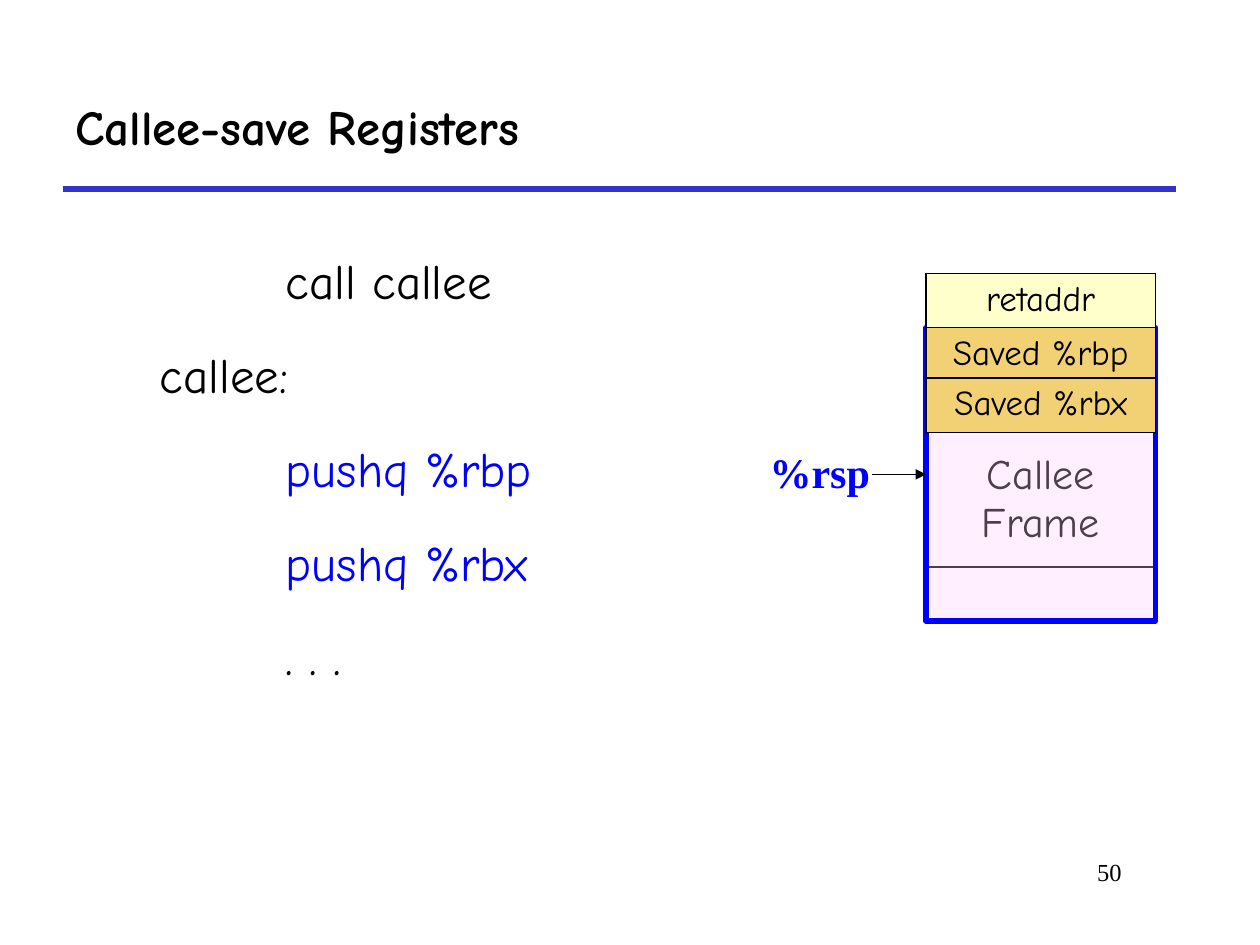
from dataclasses import dataclass

from lxml import etree
from pptx import Presentation
from pptx.dml import color
from pptx.enum import shapes, text
from pptx.oxml import ns
from pptx.util import Inches, Pt


@dataclass(frozen=True)
class Theme:
    """Colours, fonts and type sizes of the slide."""
    ink: str = "000000"
    blue: str = "0000FF"
    rule: str = "3333CC"
    cream: str = "FFFFCC"
    gold: str = "F2D174"
    pink: str = "FFCCFF"
    hand: str = "Comic Neue"
    serif: str = "Times New Roman"
    head: int = 28
    mid: int = 24
    cell: int = 20
    note: int = 14


T = Theme()


def rgb(code):
    """Turn a hex code into a colour."""
    return color.RGBColor.from_string(code)


def sub(node, tag, **attrs):
    """Add a drawing element to a node and return it."""
    return etree.SubElement(node, ns.qn(tag), attrs)


def write(para, words, size=T.head, font=T.hand, ink=T.ink, bold=False,
          align=text.PP_ALIGN.LEFT):
    """Put formatted words in a paragraph."""
    para.text = words
    para.alignment = align
    for run in para.runs:
        run.font.size = Pt(size)
        run.font.name = font
        run.font.bold = bold
        run.font.color.rgb = rgb(ink)


def add_box(slide, box, anchor=text.MSO_ANCHOR.TOP):
    """Add a text box and return its frame."""
    frame = slide.shapes.add_textbox(*map(Inches, box)).text_frame
    frame.word_wrap = True
    frame.vertical_anchor = anchor
    return frame


def add_line(slide, start, end, ink, width):
    """Add a straight line without a shadow."""
    line = slide.shapes.add_connector(
        shapes.MSO_CONNECTOR.STRAIGHT, *map(Inches, (*start, *end)))
    line.line.color.rgb = rgb(ink)
    line.line.width = Pt(width)
    sub(line._element.spPr, "a:effectLst")
    return line


def add_cell(slide, box, words, size=T.cell, fill=None):
    """Add a bordered table of one cell and return the cell."""
    table = slide.shapes.add_table(1, 1, *map(Inches, box)).table
    table.first_row = table.horz_banding = False
    cell = table.cell(0, 0)
    if fill:
        cell.fill.solid()
        cell.fill.fore_color.rgb = rgb(fill)
    else:
        cell.fill.background()
    props = cell._tc.get_or_add_tcPr()
    for spot, side in enumerate("LRTB"):
        edge = sub(props, f"a:ln{side}", w=str(Pt(1.08)))
        sub(sub(edge, "a:solidFill"), "a:srgbClr", val=T.ink)
        props.insert(spot, edge)
    write(cell.text_frame.paragraphs[0], words, size=size,
          align=text.PP_ALIGN.CENTER)
    return cell


def add_title(slide, box, words):
    """Place the title and the rule below it."""
    left, top, width, height = box
    base = top + height
    add_line(slide, (left, base), (left + width, base), T.rule, 3)
    frame = add_box(slide, box, text.MSO_ANCHOR.MIDDLE)
    write(frame.paragraphs[0], words, bold=True)


def add_code(slide, box, lines):
    """Place the assembly lines with a tab stop at one inch."""
    frame = add_box(slide, box)
    for i, (words, ink) in enumerate(lines):
        para = frame.add_paragraph() if i else frame.paragraphs[0]
        tabs = sub(para._p.get_or_add_pPr(), "a:tabLst")
        sub(tabs, "a:tab", pos=str(Inches(1)), algn="l")
        write(para, words, ink=ink)
        para.line_spacing = 1.4
        if i:
            para.space_before = Pt(6.7)


def add_frame(slide, box):
    """Place the callee frame under its tinted outline."""
    left, top, width, height = box
    cell = add_cell(slide, (left, top, width, 1.9), "Callee\vFrame", T.mid)
    cell.vertical_anchor = text.MSO_ANCHOR.BOTTOM
    cell.margin_bottom = Inches(0.15)
    tint = slide.shapes.add_shape(
        shapes.MSO_SHAPE.RECTANGLE, *map(Inches, box))
    tint.shadow.inherit = False
    tint.fill.solid()
    tint.fill.fore_color.rgb = rgb(T.pink)
    shade = tint._element.spPr.find(".//" + ns.qn("a:srgbClr"))
    sub(shade, "a:alpha", val="30000")
    tint.line.color.rgb = rgb(T.blue)
    tint.line.width = Pt(3)
    return tint


def add_stack(slide, box):
    """Place the stack with its saved rows and the stack pointer."""
    left, top, width, height = box
    row = 0.43
    deep = height - row
    tint = add_frame(slide, (left, top + row, width, deep))
    rows = (("retaddr", 0, T.cream), ("Saved %rbp", row, T.gold),
            ("Saved %rbx", 0.83, T.gold))
    for words, drop, fill in rows:
        add_cell(slide, (left, top + drop, width, row), words, fill=fill)
    mid = top + row + deep / 2
    frame = add_box(slide, (left - 1.34, mid - 0.27, 0.99, 0.5))
    frame.margin_right = 0
    write(frame.paragraphs[0], "%rsp", size=T.mid, font=T.serif,
          ink=T.blue, bold=True)
    arrow = add_line(slide, (left - 0.43, mid), (left, mid), T.ink, 0.75)
    arrow.end_connect(tint, 1)
    sub(arrow.line._get_or_add_ln(), "a:tailEnd", type="triangle")


def add_page(slide, box, words):
    """Place the page number."""
    write(add_box(slide, box).paragraphs[0], words, size=T.note,
          font=T.serif, align=text.PP_ALIGN.RIGHT)


def main():
    """Build the slide and save it."""
    deck = Presentation()
    deck.slide_width, deck.slide_height = Inches(10), Inches(7.5)
    slide = deck.slides.add_slide(deck.slide_layouts[6])
    add_title(slide, (0.5, 0.5, 8.83, 1), "Callee-save Registers")
    add_code(slide, (1.17, 1.75, 5, 5.25), (
        ("\tcall callee", T.ink),
        ("callee:", T.ink),
        ("\tpushq %rbp", T.blue),
        ("\tpushq %rbx", T.blue),
        ("\t. . .", T.ink)))
    add_stack(slide, (7.35, 2.17, 1.82, 2.76))
    add_page(slide, (7.58, 6.75, 1.42, 0.5), "50")
    deck.save("out.pptx")


if __name__ == "__main__":
    main()
